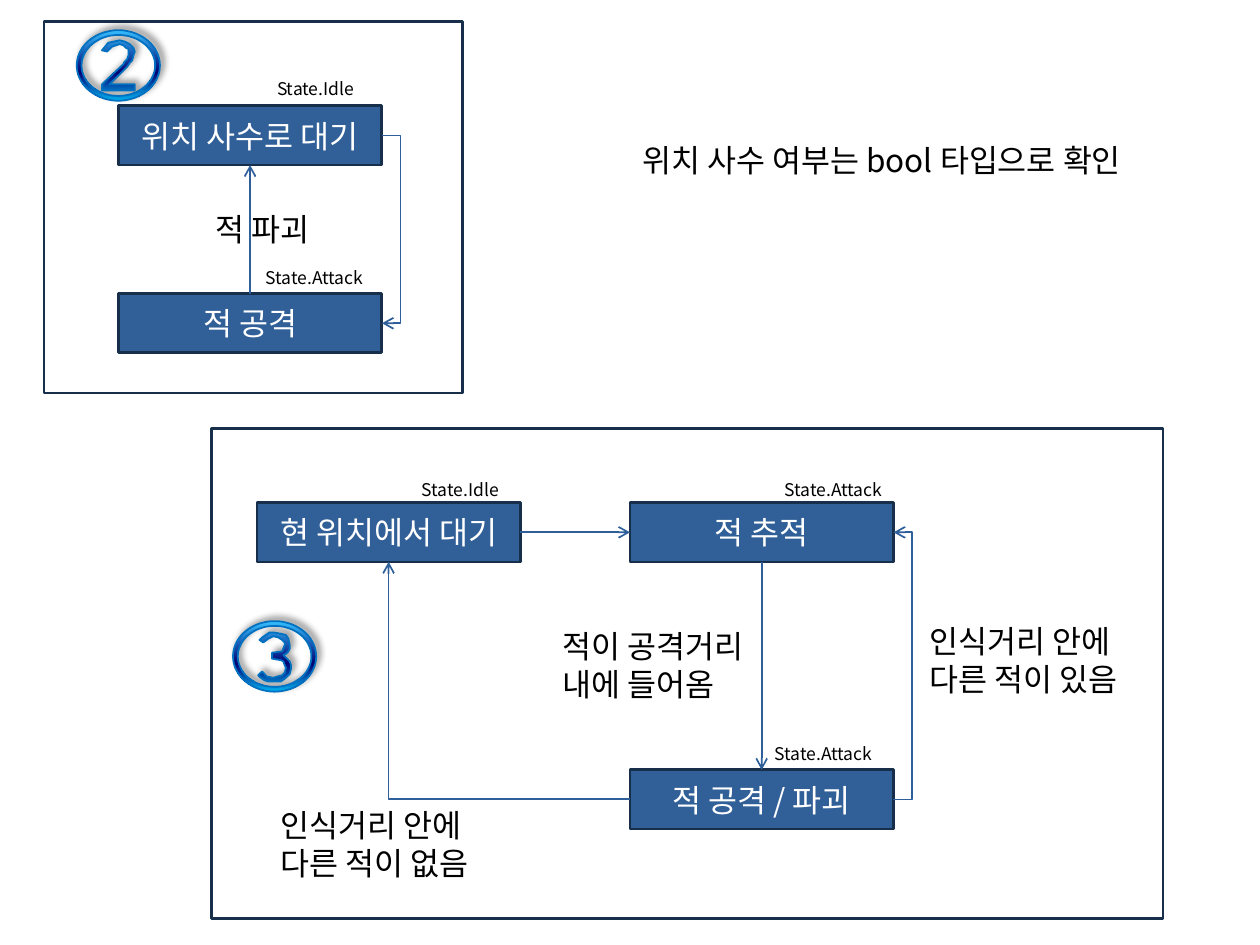
"""Build the slide with the state diagrams of the hold and chase behaviours."""
from copy import deepcopy
from dataclasses import dataclass
from math import cos, pi, sin

from pptx import Presentation
from pptx.dml.color import RGBColor
from pptx.enum.shapes import MSO_CONNECTOR, MSO_SHAPE
from pptx.enum.text import MSO_ANCHOR, PP_ALIGN
from pptx.oxml import parse_xml
from pptx.oxml.ns import nsdecls, qn
from pptx.util import Inches, Pt

RECTANGLE = MSO_SHAPE.RECTANGLE
STRAIGHT, ELBOW = MSO_CONNECTOR.STRAIGHT, MSO_CONNECTOR.ELBOW
LEFT, CENTER = PP_ALIGN.LEFT, PP_ALIGN.CENTER
TOP, MIDDLE = MSO_ANCHOR.TOP, MSO_ANCHOR.MIDDLE


@dataclass(frozen=True)
class Theme:
    """Colours, font and sizes of the slide."""
    font: str = "Noto Sans CJK KR"
    body: int = 18
    small: int = 10
    leading: float = 1.2
    ink: str = "000000"
    paper: str = "FFFFFF"
    node: str = "315F97"
    border: str = "182F4B"
    arrow: str = "2E5F9A"
    badge_line: str = "0070C0"
    badge_stops: tuple = ((0, "36C0FF"), (0.6, "000173"), (1, "00B0F0"))


THEME = Theme()
NODE_W, NODE_H = 2.09, 0.47
HOLD_X, WAIT_X, CHASE_X = 0.94, 2.04, 5
HOLD_Y, HOLD_ATTACK_Y, CHASE_Y, ATTACK_Y = 0.84, 2.33, 3.99, 6.11
BEND, SLIVER = 0.15, 0.002
BADGE_W, BADGE_H, RING = 660, 560, 38
TWO = (
    (46, 48), (20, 48), (20, 43), (37, 27), (38, 25), (40, 23), (41, 20), (41, 17),
    (41, 15), (39, 14), (37, 12), (34, 11), (28, 13), (24, 17), (20, 16), (25, 10),
    (34, 8), (38, 9), (42, 11), (45, 14), (46, 17), (45, 20), (44, 24), (42, 26),
    (40, 29), (26, 43), (46, 43))
THREE = (
    (46, 38), (45, 42), (42, 45), (38, 48), (32, 48), (28, 48), (25, 47), (22, 45),
    (20, 43), (23, 40), (27, 44), (32, 45), (35, 44), (39, 43), (41, 41), (42, 37),
    (41, 35), (40, 32), (38, 31), (32, 30), (31, 30), (31, 25), (32, 25), (39, 24),
    (41, 19), (41, 17), (39, 15), (36, 13), (32, 12), (28, 14), (24, 17), (21, 15),
    (23, 13), (26, 11), (29, 9), (32, 9), (38, 10), (42, 11), (44, 14), (45, 19),
    (45, 22), (44, 24), (42, 26), (40, 27), (43, 30), (45, 32), (46, 35))


def write(frame, text, *, size, color, align=LEFT, anchor=TOP, wrap=True):
    """Put formatted text into a text frame, one paragraph a line."""
    frame.text = text
    frame.word_wrap = wrap
    frame.vertical_anchor = anchor
    for paragraph in frame.paragraphs:
        paragraph.alignment = align
        paragraph.line_spacing = Pt(size * THEME.leading)
        for run in paragraph.runs:
            run.font.size = Pt(size)
            run.font.name = THEME.font
            run.font.color.rgb = RGBColor.from_string(color)
            east_asian = parse_xml(f'<a:ea {nsdecls("a")} typeface="{THEME.font}"/>')
            run.font._element.append(east_asian)


def add_box(slide, x, y, width, height, fill=None):
    """Add a bordered rectangle, hollow unless a fill is given."""
    box = slide.shapes.add_shape(RECTANGLE, *map(Inches, (x, y, width, height)))
    box.shadow.inherit = False
    if fill:
        box.fill.solid()
        box.fill.fore_color.rgb = RGBColor.from_string(fill)
    else:
        box.fill.background()
    box.line.color.rgb = RGBColor.from_string(THEME.border)
    box.line.width = Pt(1.5)
    return box


def add_node(slide, text, x, y):
    """Add one state of a diagram."""
    node = add_box(slide, x, y, NODE_W, NODE_H, THEME.node)
    write(node.text_frame, text, size=THEME.body, color=THEME.paper,
          align=CENTER, anchor=MIDDLE)


def add_label(slide, text, x, y, width, height, size=THEME.body, wrap=False):
    """Add a free-standing text."""
    label = slide.shapes.add_textbox(*map(Inches, (x, y, width, height)))
    write(label.text_frame, text, size=size, color=THEME.ink, wrap=wrap)


def add_arrow(slide, start, end, kind=STRAIGHT):
    """Add a connector with an open arrowhead at its end."""
    arrow = slide.shapes.add_connector(kind, *map(Inches, (*start, *end)))
    arrow.line.color.rgb = RGBColor.from_string(THEME.arrow)
    arrow.line.width = Pt(1)
    properties = arrow._element.spPr
    properties.find(qn("a:ln")).append(
        parse_xml(f'<a:tailEnd {nsdecls("a")} type="arrow"/>'))
    properties.append(parse_xml(f'<a:effectLst {nsdecls("a")}/>'))
    return properties.find(qn("a:prstGeom"))


def add_corner_arrow(slide, start, end):
    """Add an arrow that runs sideways, then turns once."""
    add_arrow(slide, start, end, ELBOW).set("prst", "bentConnector2")


def add_side_arrow(slide, x, start_y, end_y):
    """Add an arrow that bulges to the right between two stacked nodes."""
    geometry = add_arrow(slide, (x, start_y), (x + SLIVER, end_y), ELBOW)
    bulge = round(BEND / SLIVER * 100000)
    for guides in geometry.findall(qn("a:avLst")):
        geometry.remove(guides)
    geometry.append(parse_xml(
        f'<a:avLst {nsdecls("a")}><a:gd name="adj1" fmla="val {bulge}"/></a:avLst>'))


def ellipse(inset, steps=72):
    """Return the points of an ellipse inside the badge, in thousandths of an inch."""
    turns = [2 * pi * step / steps for step in range(steps)]
    return [(round(BADGE_W / 2 + (BADGE_W / 2 - inset) * cos(turn)),
             round(BADGE_H / 2 + (BADGE_H / 2 - inset) * sin(turn))) for turn in turns]


def add_badge(slide, digit, x, y):
    """Add a ringed digit with a gradient and a soft shadow."""
    numeral = [(10 * across, 10 * down) for across, down in digit]
    outer, *inner = ellipse(0), ellipse(RING), numeral
    builder = slide.shapes.build_freeform(*outer[0], scale=Inches(1) / 1000)
    builder.add_line_segments(outer[1:])
    for contour in inner:
        builder.move_to(*contour[0])
        builder.add_line_segments(contour[1:])
    badge = builder.convert_to_shape(Inches(x), Inches(y))
    badge.line.color.rgb = RGBColor.from_string(THEME.badge_line)
    badge.line.width = Pt(1)
    badge.fill.gradient()
    badge.fill.gradient_angle = 270
    properties = badge._element.spPr
    stops = properties.find(qn("a:gradFill")).find(qn("a:gsLst"))
    stops.append(deepcopy(stops[0]))
    for stop, (position, color) in zip(badge.fill.gradient_stops, THEME.badge_stops):
        stop.position = position
        stop.color.rgb = RGBColor.from_string(color)
    properties.append(parse_xml(
        f'<a:effectLst {nsdecls("a")}><a:outerShdw blurRad="{Pt(4)}" dist="{Pt(3)}" '
        f'dir="{315 * 60000}" algn="bl" rotWithShape="0"><a:srgbClr val="{THEME.ink}">'
        '<a:alpha val="40000"/></a:srgbClr></a:outerShdw></a:effectLst>'))


def main():
    """Build and save the slide."""
    deck = Presentation()
    deck.slide_width, deck.slide_height = Inches(10), Inches(7.5)
    slide = deck.slides.add_slide(deck.slide_layouts[6])
    half_w, half_h = NODE_W / 2, NODE_H / 2

    add_box(slide, 0.35, 0.17, 3.32, 2.95)
    for text, x, y in (
            ("위치 사수로 대기", HOLD_X, HOLD_Y), ("적 공격", HOLD_X, HOLD_ATTACK_Y),
            ("현 위치에서 대기", WAIT_X, CHASE_Y), ("적 공격 / 파괴", CHASE_X, ATTACK_Y),
            ("적 추적", CHASE_X, CHASE_Y)):
        add_node(slide, text, x, y)

    for start, end in (
            ((HOLD_X + half_w, HOLD_ATTACK_Y), (HOLD_X + half_w, HOLD_Y + NODE_H)),
            ((WAIT_X + NODE_W, CHASE_Y + half_h), (CHASE_X, CHASE_Y + half_h)),
            ((CHASE_X + half_w, CHASE_Y + NODE_H), (CHASE_X + half_w, ATTACK_Y))):
        add_arrow(slide, start, end)
    add_corner_arrow(slide, (CHASE_X, ATTACK_Y + half_h),
                     (WAIT_X + half_w, CHASE_Y + NODE_H))
    add_side_arrow(slide, HOLD_X + NODE_W, HOLD_Y + half_h, HOLD_ATTACK_Y + half_h)
    add_side_arrow(slide, CHASE_X + NODE_W, ATTACK_Y + half_h, CHASE_Y + half_h)

    add_label(slide, "적이 공격거리\n내에 들어옴", 4.37, 4.93, 2.54, 0.7, wrap=True)
    add_label(slide, "적 파괴", 1.61, 1.62, 1.13, 0.4, wrap=True)
    add_label(slide, "인식거리 안에\n다른 적이 있음", 7.28, 4.89, 1.81, 0.7)
    add_label(slide, "인식거리 안에\n다른 적이 없음", 2.13, 6.35, 1.81, 0.7)
    add_label(slide, "위치 사수 여부는 bool 타입으로 확인", 5, 1.07, 4.24, 0.4)
    for state, x, y, width in (
            ("Idle", 3.25, 3.75, 0.82), ("Attack", 2.01, 2.07, 1),
            ("Idle", 2.1, 0.57, 0.82), ("Attack", 6.13, 3.75, 1),
            ("Attack", 6.05, 5.85, 1)):
        add_label(slide, f"State.{state}", x, y, width, 0.27, THEME.small)

    add_badge(slide, TWO, 0.61, 0.24)
    add_badge(slide, THREE, 1.85, 4.93)
    add_box(slide, 1.68, 3.4, 7.55, 3.89)
    deck.save("out.pptx")


if __name__ == "__main__":
    main()
